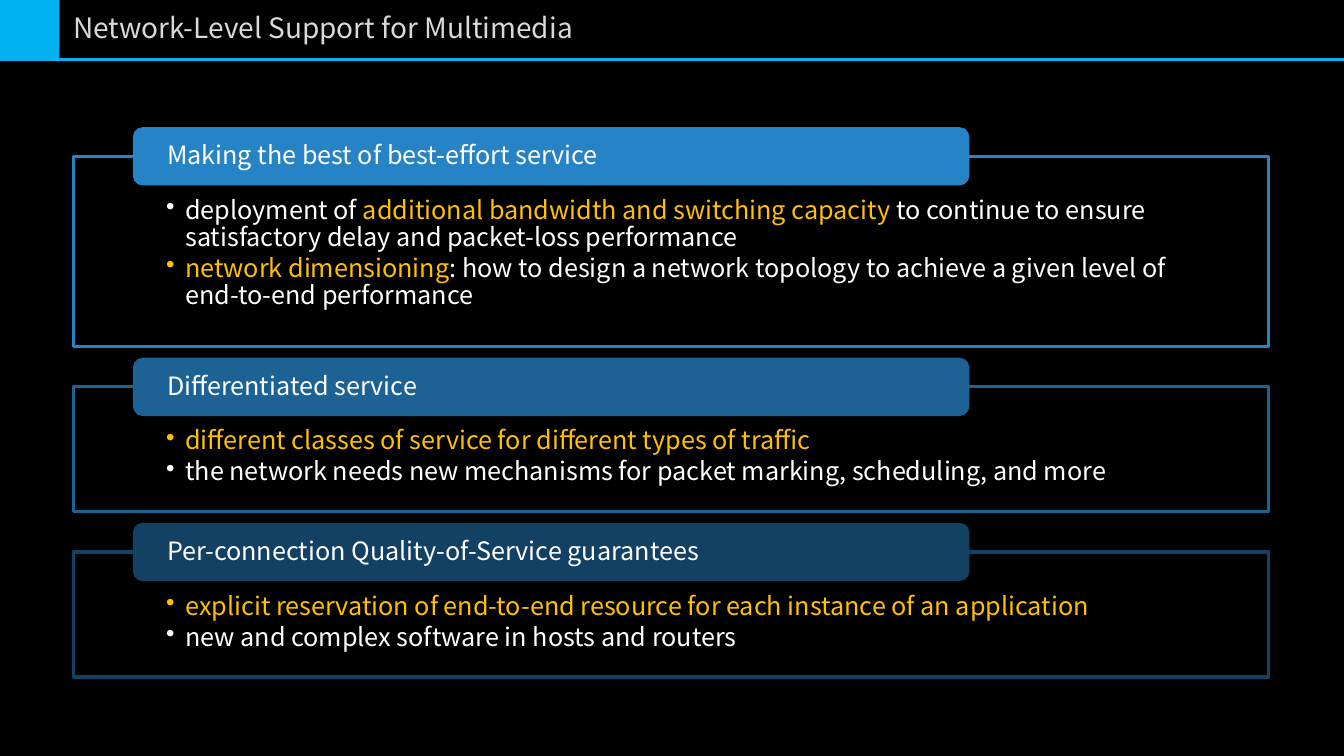
from lxml.etree import SubElement
from pptx import Presentation
from pptx.dml.color import RGBColor
from pptx.enum.shapes import MSO_CONNECTOR as Connector, MSO_SHAPE as Shape
from pptx.enum.text import MSO_ANCHOR as Anchor, PP_ALIGN as Align
from pptx.oxml.ns import qn
from pptx.util import Cm, Pt

FONT = "Noto Sans CJK KR"
WHITE, AMBER, CYAN = "FFFFFF", "FFC000", "00B0F0"
SLIDE_WIDTH, SLIDE_HEIGHT = 33.87, 19.05
PANEL_LEFT, PANEL_WIDTH, PANEL_TOP, PANEL_GAP = 1.85, 30.12, 3.94, 1.01
TAB_INDENT, TAB_WIDTH, TAB_HEIGHT = 1.5, 21.08, 1.47

SERVICES = [
    ("Making the best of best-effort service", "2683C6", 4.8, [
        [("deployment of ", WHITE),
         ("additional bandwidth and switching capacity ", AMBER),
         ("to continue to ensure satisfactory delay and packet-loss performance", WHITE)],
        [("network dimensioning", AMBER),
         (": how to design a network topology to achieve a given level of "
          "end-to-end performance", WHITE)],
    ]),
    ("Differentiated service", "1D6294", 3.15, [
        [("different classes of service for different types of traffic", AMBER)],
        [("the network needs new mechanisms for packet marking, scheduling, and more", WHITE)],
    ]),
    ("Per-connection Quality-of-Service guarantees", "134163", 3.15, [
        [("explicit reservation of end-to-end resource for each instance of an application",
          AMBER)],
        [("new and complex software in hosts and routers", WHITE)],
    ]),
]


def color(value):
    """Turn a hex string into a colour."""
    return RGBColor.from_string(value)


def write_text(shape, paragraphs, size=18, anchor=Anchor.MIDDLE,
               insets=(0.25, 0.13, 0.25, 0.13), bullet=None, space_after=0):
    """Write paragraphs, each a list of (text, colour) runs, into a shape."""
    frame = shape.text_frame
    frame.word_wrap = True
    frame.vertical_anchor = anchor
    (frame.margin_left, frame.margin_top,
     frame.margin_right, frame.margin_bottom) = map(Cm, insets)
    for index, runs in enumerate(paragraphs):
        paragraph = frame.add_paragraph() if index else frame.paragraphs[0]
        if bullet:
            properties = paragraph._p.get_or_add_pPr()
            properties.set("marL", str(Cm(0.48)))
            properties.set("indent", str(-Cm(0.48)))
            SubElement(properties, qn("a:buChar")).set("char", bullet)
        paragraph.alignment = Align.LEFT
        paragraph.line_spacing = 0.9
        paragraph.space_after = Pt(space_after)
        for text, text_color in runs:
            run = paragraph.add_run()
            run.text = text
            run.font.name = FONT
            run.font.size = Pt(size)
            run.font.color.rgb = color(text_color)


def add_box(slide, kind, left, top, width, height, fill=None, line=None):
    """Add a flat shape with an optional fill and outline."""
    shape = slide.shapes.add_shape(kind, Cm(left), Cm(top), Cm(width), Cm(height))
    shape.shadow.inherit = False
    if fill:
        shape.fill.solid()
        shape.fill.fore_color.rgb = color(fill)
    else:
        shape.fill.background()
    if line:
        shape.line.color.rgb = color(line)
        shape.line.width = Pt(2.25)
    else:
        shape.line.fill.background()
    return shape


def add_header(slide, title, width, height):
    """Add the corner square, the rule and the title across the slide top."""
    add_box(slide, Shape.RECTANGLE, 0, 0, height, height, fill=CYAN)
    rule = slide.shapes.add_connector(
        Connector.STRAIGHT, 0, Cm(height), Cm(width), Cm(height))
    rule.line.color.rgb = color(CYAN)
    rule.line.width = Pt(1.5)
    SubElement(rule._element.spPr, qn("a:effectLst"))
    title_box = slide.shapes.add_textbox(
        Cm(height + 0.1), Cm(0.25), Cm(18.72), Cm(0.99))
    write_text(title_box, [[(title, "D9D9D9")]], size=20)


def add_service(slide, heading, shade, bullets, left, top, width, height):
    """Add an outlined panel of bullets with its heading tab on the top edge."""
    panel = add_box(slide, Shape.RECTANGLE, left, top, width, height, line=shade)
    write_text(panel, bullets, anchor=Anchor.TOP, insets=(2.34, 1.04, 2.34, 0.36),
               bullet="•", space_after=2.7)
    tab = add_box(slide, Shape.ROUNDED_RECTANGLE, left + TAB_INDENT,
                  top - TAB_HEIGHT / 2, TAB_WIDTH, TAB_HEIGHT, fill=shade)
    write_text(tab, [[(heading, WHITE)]], insets=(0.79, 0, 0.79, 0))


def main():
    """Build and save the slide."""
    presentation = Presentation()
    presentation.slide_width = Cm(SLIDE_WIDTH)
    presentation.slide_height = Cm(SLIDE_HEIGHT)
    slide = presentation.slides.add_slide(presentation.slide_layouts[6])
    slide.background.fill.solid()
    slide.background.fill.fore_color.rgb = color("000000")
    add_header(slide, "Network-Level Support for Multimedia", SLIDE_WIDTH, 1.5)
    top = PANEL_TOP
    for heading, shade, height, bullets in SERVICES:
        add_service(slide, heading, shade, bullets, PANEL_LEFT, top, PANEL_WIDTH, height)
        top += height + PANEL_GAP
    presentation.save("out.pptx")


if __name__ == "__main__":
    main()
